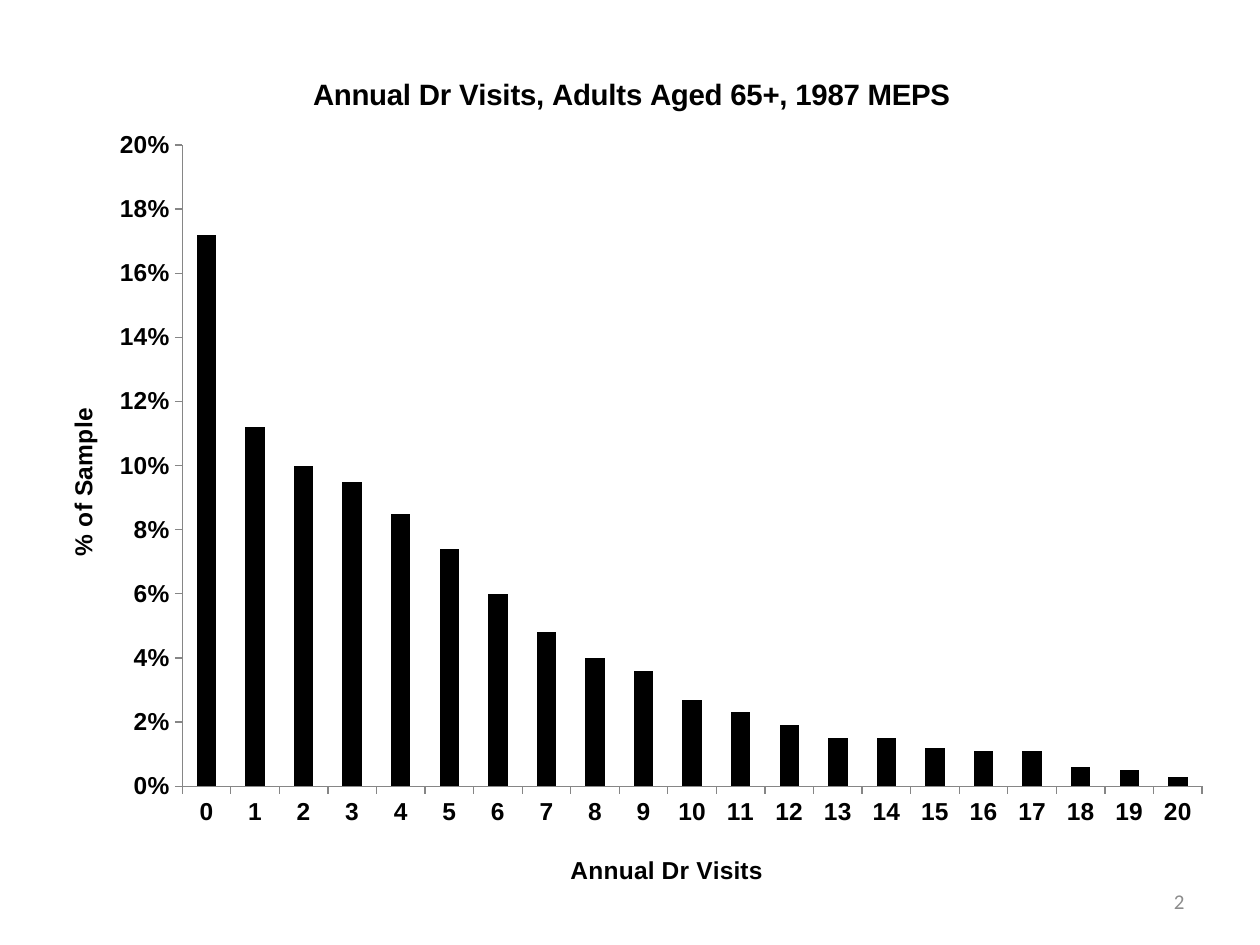
import pptx
import pptx.chart.data
import pptx.dml.color
import pptx.enum.chart
import pptx.enum.text
import pptx.oxml
import pptx.oxml.ns
import pptx.util

Pt = pptx.util.Pt
BLACK, AXIS_GREY, NUMBER_GREY = "000000", "868686", "8C8C8C"
SHARES = [0.172, 0.112, 0.1, 0.095, 0.085, 0.074, 0.06, 0.048, 0.04, 0.036,
          0.027, 0.023, 0.019, 0.015, 0.015, 0.012, 0.011, 0.011, 0.006,
          0.005, 0.003]


def rgb(value):
    return pptx.dml.color.RGBColor.from_string(value)


def set_attributes(target, values):
    for name, value in values.items():
        setattr(target, name, value)


def style_font(font, size, color, name="Arial", bold=True):
    set_attributes(font, {"size": Pt(size), "name": name, "bold": bold})
    font.color.rgb = rgb(color)


def make_layout(**fractions):
    """Manual chart layout; x, y, w and h are fractions of the chart."""
    modes = "".join(f'<c:{key}Mode val="edge"/>' for key in "xy")
    values = "".join(f'<c:{key} val="{value}"/>' for key, value in fractions.items())
    target = '<c:layoutTarget val="inner"/>' if "w" in fractions else ""
    return pptx.oxml.parse_xml(
        f'<c:layout {pptx.oxml.ns.nsdecls("c")}><c:manualLayout>'
        f"{target}{modes}{values}</c:manualLayout></c:layout>")


def place(element, index, **fractions):
    for old in element.findall(pptx.oxml.ns.qn("c:layout")):
        element.remove(old)
    element.insert(index, make_layout(**fractions))


def add_title(title, text, size, x, y):
    paragraph = title.text_frame.paragraphs[0]
    run = paragraph.add_run()
    run.text = text
    style_font(run.font, size, BLACK)
    place(title._element, 1, x=x, y=y)


def style_axis(axis, title, x, y):
    set_attributes(axis, {
        "has_major_gridlines": False,
        "major_tick_mark": pptx.enum.chart.XL_TICK_MARK.OUTSIDE,
        "minor_tick_mark": pptx.enum.chart.XL_TICK_MARK.NONE,
    })
    axis.format.line.color.rgb = rgb(AXIS_GREY)
    axis.format.line.width = Pt(0.75)
    style_font(axis.tick_labels.font, 14, BLACK)
    add_title(axis.axis_title, title, 14, x, y)


def add_visits_chart(slide):
    data = pptx.chart.data.CategoryChartData(number_format="0.0%")
    data.categories = [str(visits) for visits in range(len(SHARES))]
    data.add_series("Series 1", SHARES)
    chart = slide.shapes.add_chart(
        pptx.enum.chart.XL_CHART_TYPE.COLUMN_CLUSTERED,
        Pt(18.7), Pt(22.3), Pt(683.3), Pt(496), data).chart
    chart.has_legend = False
    style_font(chart.font, 14, BLACK)
    add_title(chart.chart_title, "Annual Dr Visits, Adults Aged 65+, 1987 MEPS ",
              16.8, 0.23, 0.036)
    place(chart.plots[0]._element.getparent(), 0, x=0.125, y=0.122, w=0.853, h=0.739)

    # Columns
    plot = chart.plots[0]
    set_attributes(plot, {"gap_width": 150, "vary_by_categories": False})
    fill = plot.series[0].format.fill
    fill.solid()
    fill.fore_color.rgb = rgb(BLACK)

    # Axes
    style_axis(chart.category_axis, "Annual Dr Visits", 0.446, 0.934)
    style_axis(chart.value_axis, "% of Sample", 0.025, 0.42)
    set_attributes(chart.value_axis, {
        "minimum_scale": 0, "maximum_scale": 0.2, "major_unit": 0.02})
    set_attributes(chart.value_axis.tick_labels, {
        "number_format": "0%", "number_format_is_linked": False})


def add_slide_number(slide, text):
    frame = slide.shapes.add_textbox(Pt(516), Pt(500.5), Pt(168), Pt(28.75)).text_frame
    set_attributes(frame, {
        "word_wrap": True, "vertical_anchor": pptx.enum.text.MSO_ANCHOR.MIDDLE})
    paragraph = frame.paragraphs[0]
    paragraph.alignment = pptx.enum.text.PP_ALIGN.RIGHT
    run = paragraph.add_run()
    run.text = text
    style_font(run.font, 12, NUMBER_GREY, "Calibri", False)


def main():
    presentation = pptx.Presentation()
    set_attributes(presentation, {"slide_width": Pt(720), "slide_height": Pt(540)})
    slide = presentation.slides.add_slide(presentation.slide_layouts[6])
    add_slide_number(slide, "2")
    add_visits_chart(slide)
    presentation.save("out.pptx")


main()
